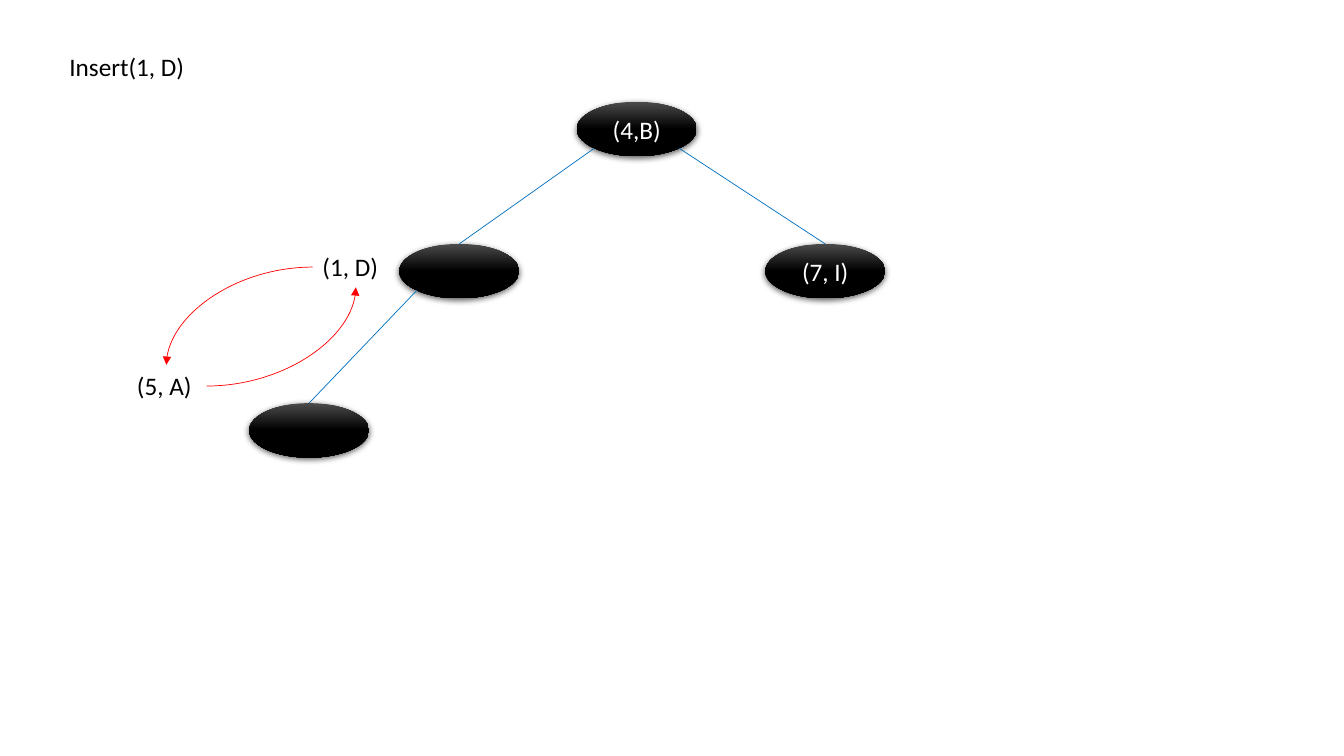
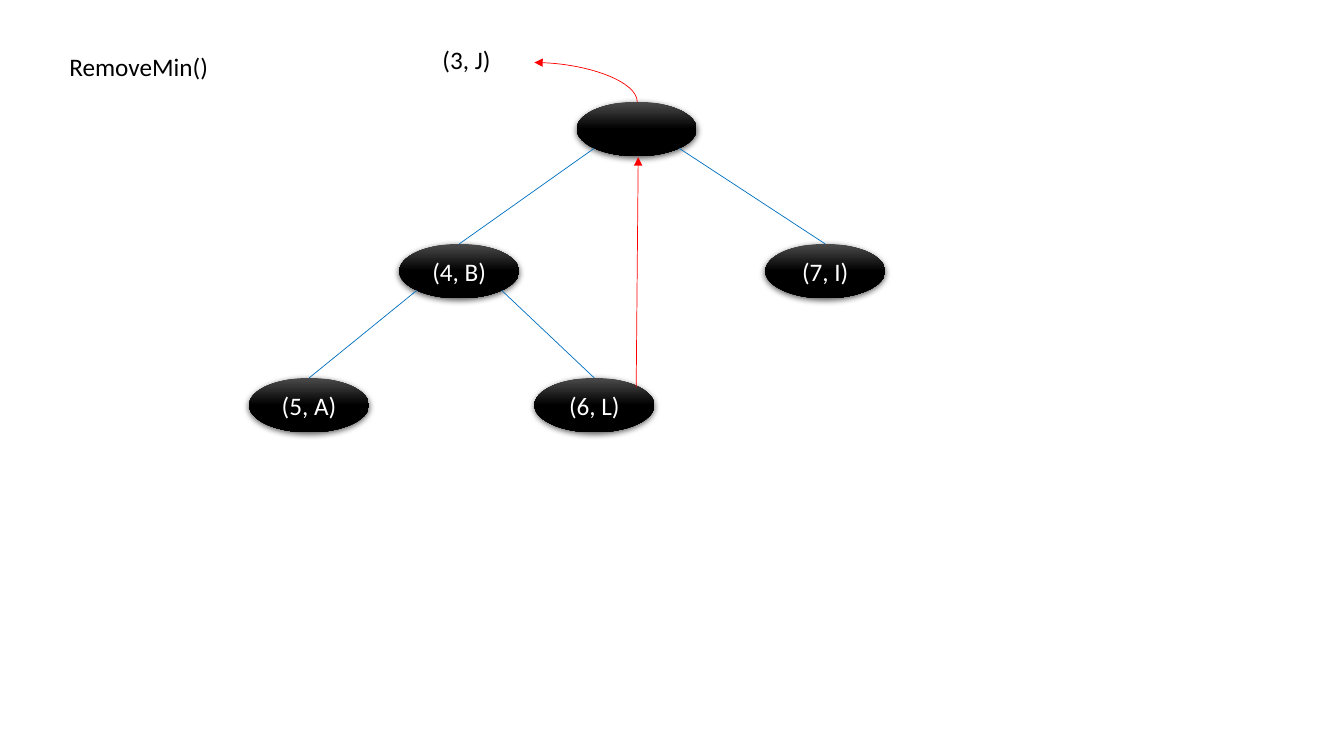
from dataclasses import dataclass
from math import sqrt

from lxml.etree import SubElement
from pptx import Presentation
from pptx.dml.color import RGBColor
from pptx.enum.shapes import MSO_CONNECTOR as Connector, MSO_SHAPE as Shape
from pptx.enum.text import MSO_ANCHOR as Anchor, MSO_AUTO_SIZE as AutoSize, PP_ALIGN as Align
from pptx.oxml.ns import qn
from pptx.util import Inches, Pt


@dataclass(frozen=True)
class Theme:
    font: str = "Calibri"
    text_size: float = 18
    line_width: float = 0.5
    text: str = "000000"
    node_text: str = "FFFFFF"
    node_top: str = "4B4B4B"
    node_base: str = "000000"
    shadow: str = "000000"
    edge: str = "0070C0"
    move: str = "FF0000"


THEME = Theme()
NODE_WIDTH, NODE_HEIGHT = 1.19, 0.54
LABEL_HEIGHT = 0.4
TITLE_AT = (0.59, 0.46)

# Tree layout shared by the slides: left edge of each node, top of each level
NODE_LEFT = {"root": 5.72, "left": 3.96, "right": 7.59, "left.left": 2.47, "left.right": 5.3}
PARENT = {"left": "root", "right": "root", "left.left": "left", "left.right": "left"}
UPPER_TOPS = (1.01, 2.42)

# Labels: text, left, top, width, wraps
# Moves: kind, start, end, end that carries the arrowhead
HEAPS = [
    {
        "title": ("Insert(1, D)", 1.46),
        "leaf_top": 4,
        "nodes": {"root": "(4,B)", "left": "", "right": "(7, I)", "left.left": ""},
        "labels": [("(5, A)", 1.26, 3.62, 0.79, True), ("(1, D)", 3.1, 2.44, 0.87, True)],
        "moves": [
            (Connector.CURVE, (3.1, 2.65), (1.65, 3.62), "tailEnd"),
            (Connector.CURVE, (2.05, 3.83), (3.53, 2.85), "tailEnd"),
        ],
    },
    {
        "title": ("RemoveMin()", 1.64),
        "leaf_top": 3.75,
        "nodes": {"root": "", "left": "(4, B)", "right": "(7, I)",
                  "left.left": "(5, A)", "left.right": "(6, L)"},
        "labels": [("(3, J)", 4.29, 0.39, 0.69, False)],
        "moves": [
            (Connector.CURVE, (5.3, 0.62), (6.32, 1.01), "headEnd"),
            (Connector.STRAIGHT, (6.31, 3.84), (6.33, 1.56), "tailEnd"),
        ],
    },
]


def color(value):
    return RGBColor.from_string(value)


def write(shape, text, text_color, align=Align.LEFT):
    paragraph = shape.text_frame.paragraphs[0]
    paragraph.alignment = align
    run = paragraph.add_run()
    run.text = text
    run.font.name = THEME.font
    run.font.size = Pt(THEME.text_size)
    run.font.color.rgb = color(text_color)


def add_label(slide, text, left, top, width, wraps=True):
    box = slide.shapes.add_textbox(Inches(left), Inches(top), Inches(width), Inches(LABEL_HEIGHT))
    box.text_frame.word_wrap = wraps
    box.text_frame.auto_size = AutoSize.SHAPE_TO_FIT_TEXT
    write(box, text, THEME.text)


def add_shadow(shape):
    shape.shadow.inherit = False
    effects = shape._element.spPr.find(qn("a:effectLst"))
    shadow = SubElement(effects, qn("a:outerShdw"), blurRad=str(Pt(4.5)), dist=str(Pt(1.5)),
                        dir="5400000", algn="ctr", rotWithShape="0")
    shade = SubElement(shadow, qn("a:srgbClr"), val=THEME.shadow)
    SubElement(shade, qn("a:alpha"), val="63000")


def add_node(slide, text, left, top):
    node = slide.shapes.add_shape(Shape.OVAL, Inches(left), Inches(top),
                                  Inches(NODE_WIDTH), Inches(NODE_HEIGHT))
    node.fill.gradient()
    node.fill.gradient_angle = 270
    stops = ((0, THEME.node_top), (0.5, THEME.node_base))
    for stop, (position, value) in zip(node.fill.gradient_stops, stops):
        stop.position = position
        stop.color.rgb = color(value)
    node.line.fill.background()
    add_shadow(node)
    if text:
        node.text_frame.vertical_anchor = Anchor.MIDDLE
        write(node, text, THEME.node_text, Align.CENTER)
    return node


def add_line(slide, kind, start, end, line_color):
    line = slide.shapes.add_connector(kind, *(Inches(value) for value in (*start, *end)))
    line.line.color.rgb = color(line_color)
    line.line.width = Pt(THEME.line_width)
    SubElement(line._element.spPr, qn("a:effectLst"))
    return line


def add_edge(slide, parent_at, child_at, child):
    # Leaves the parent on its lower diagonal and meets the top of the child
    side = 1 if child_at[0] > parent_at[0] else -1
    reach = 1 / sqrt(2)
    start = (parent_at[0] + NODE_WIDTH / 2 * (1 + side * reach),
             parent_at[1] + NODE_HEIGHT / 2 * (1 + reach))
    end = (child_at[0] + NODE_WIDTH / 2, child_at[1])
    edge = add_line(slide, Connector.STRAIGHT, start, end, THEME.edge)
    edge.end_connect(child, 0)


def add_move(slide, kind, start, end, arrow_end):
    move = add_line(slide, kind, start, end, THEME.move)
    if kind == Connector.CURVE:
        # A single bend, horizontal at the start and vertical at the end
        move._element.spPr.find(qn("a:prstGeom")).set("prst", "curvedConnector2")
    SubElement(move.line._get_or_add_ln(), qn(f"a:{arrow_end}"), type="triangle")


def add_heap(presentation, heap):
    slide = presentation.slides.add_slide(presentation.slide_layouts[6])
    title, title_width = heap["title"]
    add_label(slide, title, *TITLE_AT, title_width)

    # Nodes and edges
    tops = (*UPPER_TOPS, heap["leaf_top"])
    places = {}
    for name, text in heap["nodes"].items():
        level = 0 if name == "root" else name.count(".") + 1
        places[name] = (NODE_LEFT[name], tops[level])
        node = add_node(slide, text, *places[name])
        if name in PARENT:
            add_edge(slide, places[PARENT[name]], places[name], node)

    # Entries outside the tree and their moves
    for label in heap["labels"]:
        add_label(slide, *label)
    for move in heap["moves"]:
        add_move(slide, *move)


def main():
    presentation = Presentation()
    presentation.slide_width = Inches(13.33)
    presentation.slide_height = Inches(7.5)
    for heap in HEAPS:
        add_heap(presentation, heap)
    presentation.save("out.pptx")


if __name__ == "__main__":
    main()
